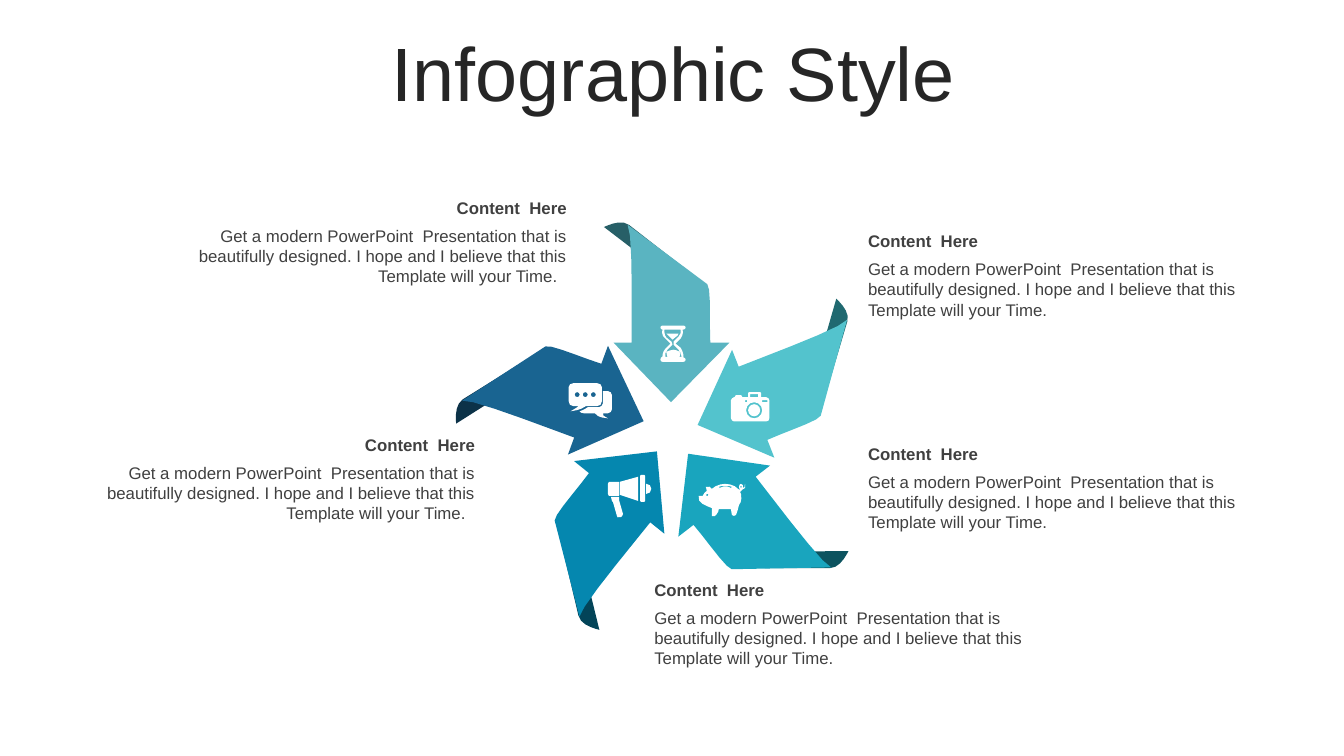
import math

import pptx
import pptx.dml.color
import pptx.enum.text
import pptx.util

Inches = pptx.util.Inches
ALIGN = pptx.enum.text.PP_ALIGN
ANCHOR = pptx.enum.text.MSO_ANCHOR
FIT = pptx.enum.text.MSO_AUTO_SIZE.SHAPE_TO_FIT_TEXT

HEAD = "Content  Here"
BODY = ("Get a modern PowerPoint  Presentation that is beautifully designed. "
        "I hope and I believe that this Template will your Time.")


def dot(x, y, r):
    k = r * 0.55
    return (f"M {x} {y - r} C {x + k} {y - r} {x + r} {y - k} {x + r} {y} "
            f"C {x + r} {y + k} {x + k} {y + r} {x} {y + r} "
            f"C {x - k} {y + r} {x - r} {y + k} {x - r} {y} "
            f"C {x - r} {y - k} {x - k} {y - r} {x} {y - r} ")


FOLD = "M 25 2 C 17 -4 5 2 0 4 L 81 66 102 62"
ARROW = ("M 14 0 L 93 59 C 97 63 95 97 96 117 L 115 117 57 176 0 117 18 117 "
         "C 18 79 19 6 14 0")
GLASS = (
    "M 13 24 C 15 24 17 25 19 26 C 20 27 20 29 19 31 L 7 31 "
    "C 6 29 6 27 6 26 C 9 25 11 24 13 24 "
    "M 6 8 L 18 8 17 10 12 14 8 10 "
    "M 4 4 C 4 7 4 10 6 12 L 11 16 12 19 7 24 C 5 26 4 29 5 31 L 21 31 "
    "C 21 29 20 26 18 24 L 13 19 13 16 18 11 C 20 9 21 6 20 4 "
    "M 2 0 L 23 0 C 24 0 25 1 25 2 C 25 3 24 4 23 4 L 22 4 "
    "C 23 7 22 10 20 13 L 15 18 20 22 C 22 25 23 28 23 32 "
    "C 24 32 25 32 25 34 C 25 35 24 36 23 36 L 2 36 C 1 36 0 35 0 34 "
    "C 0 32 1 31 2 31 C 2 28 3 25 5 23 L 10 18 5 13 C 2 11 1 7 2 4 "
    "C 1 4 0 3 0 2 C 0 1 1 0 2 0")
PHOTO = (
    dot(23, 18, 6) + dot(23, 18, 8) +
    "M 14 8 L 14 10 16 10 16 8 M 31 8 L 31 10 36 10 36 8 "
    "M 19 2 L 19 5 27 5 27 2 "
    "M 18 0 L 29 0 30 1 30 5 35 5 C 37 5 38 7 38 8 L 38 26 "
    "C 38 28 37 29 35 29 L 3 29 C 2 29 0 28 0 26 L 0 8 C 0 7 2 5 3 5 "
    "L 4 5 4 4 5 3 10 3 11 4 11 5 17 5 17 1")
PIG = (
    dot(8.5, 11, 1.3) + dot(42, 3, 1) +
    "M 26 2 C 24 2 22 2 20 3 L 21 4 C 24 2 29 2 32 4 L 33 3 "
    "C 31 2 29 2 26 2 "
    "M 26 0 C 31 0 37 2 39 5 L 41 6 41 5 C 40 5 40 4 40 3 "
    "C 40 1 41 0 42 0 C 44 0 44 2 44 3 L 44 4 C 45 4 46 4 46 0 "
    "C 47 4 46 5 43 6 C 43 7 42 7 41 8 L 42 10 C 43 15 42 19 40 21 "
    "C 39 26 38 28 37 31 C 37 32 33 32 33 31 C 33 29 32 27 32 25 "
    "L 20 25 C 20 28 18 30 16 32 L 13 32 13 24 "
    "C 8 22 -2 19 0 12 L 4 12 C 5 10 6 8 8 7 C 8 5 7 3 7 3 "
    "C 11 1 11 4 13 5 C 16 2 22 0 26 0")
HORN = (
    "M 11 22 L 11 25 15 39 C 15 40 14 41 13 42 L 11 42 "
    "C 10 43 9 42 9 41 L 5 27 4 26 3 22 "
    "M 38 9 C 41 9 43 11 43 14 C 43 17 41 19 38 19 "
    "M 1 7 L 11 7 11 21 1 21 0 19 0 9 "
    "M 30 2 L 30 26 12 20 12 7 "
    "M 33 0 L 36 0 37 1 37 26 36 27 33 27 32 26 32 1")
CHAT = (
    dot(24.5, 11.5, 2.5) + dot(16.5, 11.5, 2.5) + dot(8.5, 11.5, 2.5) +
    "M 34 8 L 39 8 C 41 8 43 10 43 12 L 43 26 C 43 28 41 30 39 30 L 34 30 "
    "C 34 32 34 33 39 35 C 31 34 30 34 26 30 L 15 30 C 13 30 11 29 11 28 "
    "C 14 27 16 26 19 24 L 30 24 C 32 24 34 22 34 20 "
    "M 5 0 L 28 0 C 31 0 33 2 33 4 L 33 18 C 33 21 31 23 28 23 L 17 23 "
    "C 12 26 10 27 2 28 C 7 25 7 25 10 23 L 5 23 C 2 23 0 21 0 18 L 0 4 "
    "C 0 2 2 0 5 0")

BLADES = [
    (0, 2.16, 0.91, "275F67", "5AB4C1", GLASS, 2.05, 1.03),
    (68.6, 3.24, 1.7, "206970", "53C3CD", PHOTO, 2.75, 1.69),
    (142.2, 2.86, 3, "0C535F", "19A5BE", PIG, 2.43, 2.6),
    (218.8, 1.46, 2.96, "034458", "0587AF", HORN, 1.53, 2.51),
    (290.2, 1.06, 1.67, "0C3248", "196491", CHAT, 1.14, 1.6),
]


def tint(target, color):
    if hasattr(target, "solid"):
        target.solid()
        target = target.fore_color
    target.rgb = pptx.dml.color.RGBColor.from_string(color)


def curve(a, b, c, d):
    chord = math.dist(a, d)
    steps = 1 if chord < 2 else min(5, 2 + int(chord / 8))
    for i in range(1, steps + 1):
        t = i / steps
        s = 1 - t
        yield tuple(s**3 * p + 3 * s * s * t * q + 3 * s * t * t * u + t**3 * v
                    for p, q, u, v in zip(a, b, c, d))


def trace(route):
    loops = []
    for part in route.replace("M", "|M").replace("L", "|L").replace("C", "|C").split("|")[1:]:
        nums = [float(n) for n in part[1:].split()]
        points = list(zip(nums[::2], nums[1::2]))
        if part[0] == "M":
            loops.append(points)
        elif part[0] == "L":
            loops[-1] += points
        else:
            loops[-1] += list(curve(loops[-1][-1], *points))
    return [[(Inches(x / 100), Inches(y / 100)) for x, y in loop] for loop in loops]


def draw(slide, route, left, top, color):
    loops = trace(route)
    pen = slide.shapes.build_freeform(*loops[0][0])
    for i, loop in enumerate(loops):
        if i:
            pen.move_to(*loop[0])
        pen.add_line_segments(loop[1:], close=True)
    shape = pen.convert_to_shape(Inches(left), Inches(top))
    shape.shadow.inherit = False
    tint(shape.fill, color)
    shape.line.fill.background()
    return shape


def spin(shape, x, y, angle):
    shape.left = Inches(x) - shape.width // 2
    shape.top = Inches(y) - shape.height // 2
    shape.rotation = angle


def pinwheel(slide, left, top):
    for angle, x, y, dark, light, icon, dx, dy in BLADES:
        turn = math.radians(angle)
        cos, sin = math.cos(turn), math.sin(turn)
        mid_x, mid_y = left + x, top + y
        fold_x = mid_x - 0.16 * cos + 0.57 * sin
        fold_y = mid_y - 0.16 * sin - 0.57 * cos
        spin(draw(slide, FOLD, left, top, dark), fold_x, fold_y, angle)
        spin(draw(slide, ARROW, left, top, light), mid_x, mid_y, angle)
        draw(slide, icon, left + dx, top + dy, "FFFFFF")


def write(slide, text, left, top, width, height, size, color, align, bold=False):
    box = slide.shapes.add_textbox(*map(Inches, (left, top, width, height)))
    frame = box.text_frame
    frame.word_wrap = True
    frame.text = text
    para = frame.paragraphs[0]
    para.alignment = align
    font = para.runs[0].font
    font.name, font.size, font.bold = "Arial", pptx.util.Pt(size), bold
    tint(font.color, color)
    return frame


def title(slide, left, top, width, height):
    frame = write(slide, "Infographic Style", left, top, width, height,
                  54, "262626", ALIGN.CENTER)
    frame.vertical_anchor = ANCHOR.MIDDLE
    frame.paragraphs[0].line_spacing = 0.9
    frame.paragraphs[0].space_before = pptx.util.Pt(10)


def note(slide, left, top, width, align, body):
    head = write(slide, HEAD, left, top, width, 0.3, 12, "404040", align, True)
    head.vertical_anchor = ANCHOR.MIDDLE
    text = write(slide, body, left, top + 0.28, width, 0.71, 12, "404040", align)
    for frame in (head, text):
        frame.margin_left = 0
        frame.auto_size = FIT


def main():
    deck = pptx.Presentation()
    deck.slide_width, deck.slide_height = Inches(13.33), Inches(7.5)
    slide = deck.slides.add_slide(deck.slide_layouts[6])
    title(slide, 0.35, 0.37, 12.66, 0.79)
    pinwheel(slide, 4.5, 2.2)
    for left, top in ((8.61, 2.24), (8.61, 4.35), (6.49, 5.7)):
        note(slide, left, top, 3.77, ALIGN.LEFT, BODY)
    for left, top in ((1.9, 1.91), (0.99, 4.26)):
        note(slide, left, top, 3.82, ALIGN.RIGHT, BODY + "  ")
    deck.save("out.pptx")


if __name__ == "__main__":
    main()
